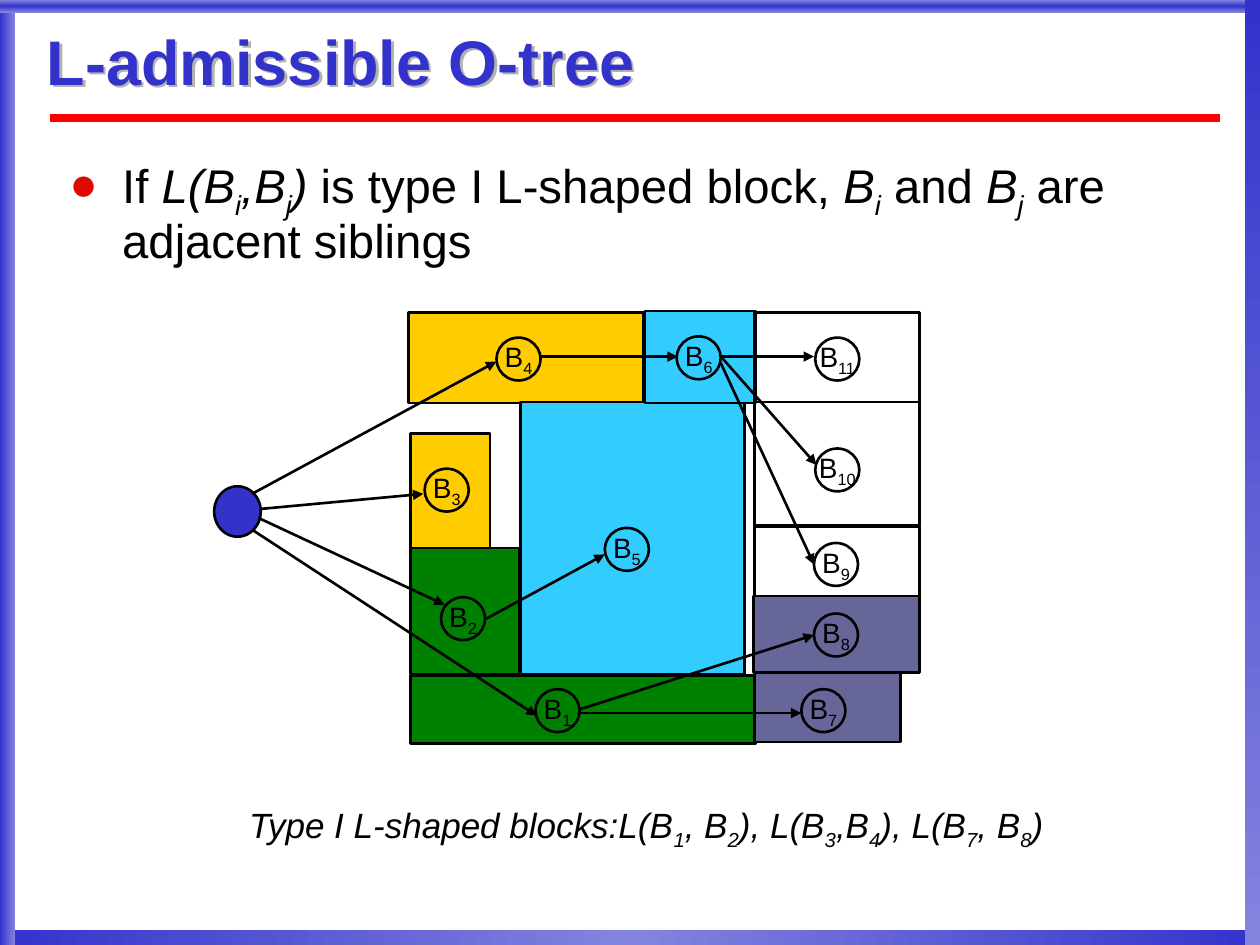
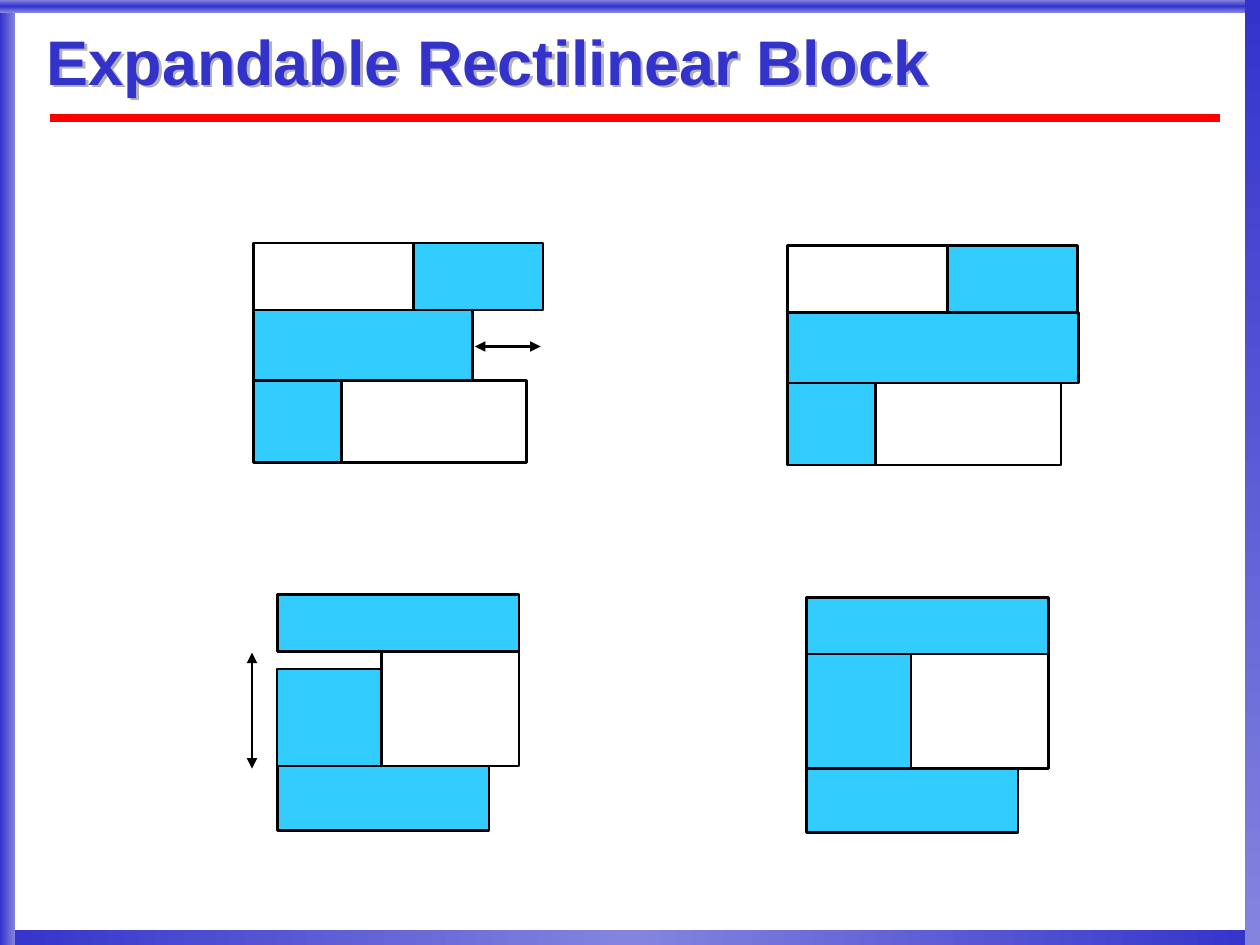
from dataclasses import dataclass
from lxml import etree
from pptx import Presentation
from pptx.dml.color import RGBColor
from pptx.enum.shapes import MSO_CONNECTOR, MSO_SHAPE
from pptx.enum.text import MSO_ANCHOR, MSO_AUTO_SIZE, PP_ALIGN
from pptx.oxml.ns import qn
from pptx.util import Inches, Pt

RECT, OVAL = MSO_SHAPE.RECTANGLE, MSO_SHAPE.OVAL
LINE = MSO_CONNECTOR.STRAIGHT
MIDDLE, TOP = MSO_ANCHOR.MIDDLE, MSO_ANCHOR.TOP
LEFT, CENTER = PP_ALIGN.LEFT, PP_ALIGN.CENTER
FIXED = MSO_AUTO_SIZE.NONE


@dataclass(frozen=True)
class Theme:
    font: str = "Arial"
    blue: str = "3333CC"
    pale: str = "8484DF"
    red: str = "FF0000"
    dot: str = "DC0A00"
    shade: str = "B2B2B2"
    ink: str = "000000"
    gold: str = "FFCC00"
    green: str = "008000"
    sky: str = "33CCFF"
    slate: str = "666699"
    title: int = 36
    body: int = 27
    note: int = 20
    label: int = 16
    edge: float = 1.5
    rule: float = 4.5


T = Theme()

BANDS = [
    ((0, 7.38, 10, 0.13), (T.blue, T.pale, T.blue), 180),
    ((0, 0, 0.12, 7.5), (T.pale, T.blue), 180),
    ((0, 0, 10, 0.1), (T.pale, T.blue, T.pale), 90),
    ((9.88, 0, 0.12, 7.5), (T.blue, T.pale), 90),
]

BLOCKS = [
    ((4.29, 1.71, 1.31, 0.56), None),
    ((4.28, 2.26, 1.32, 0.61), T.slate),
    ((1.54, 0.01, 1.87, 0.72), T.gold),
    ((1.56, 0.97, 0.63, 0.92), T.gold),
    ((1.56, 1.88, 0.86, 1), T.green),
    ((1.56, 2.89, 2.74, 0.54), T.green),
    ((2.43, 0.72, 1.78, 2.16), T.sky),
    ((3.42, 0, 0.88, 0.73), T.sky),
    ((4.29, 0.72, 1.31, 0.98), None),
    ((4.29, 0.01, 1.31, 0.71), None),
    ((4.29, 2.87, 1.16, 0.55), T.slate),
]

NODES = [
    (2.55, 3), (1.8, 2.27), (1.67, 1.25), (2.24, 0.21), (3.1, 1.72),
    (3.67, 0.2), (4.66, 3), (4.76, 2.4), (4.76, 1.84), (4.77, 1.09),
    (4.77, 0.21),
]

ARROWS = [
    ((0.3, 1.45), (2.24, 0.4)),
    ((0.36, 1.57), (1.66, 1.45)),
    ((0.35, 1.64), (1.83, 2.33)),
    ((0.31, 1.74), (2.56, 3.21)),
    ((2.58, 0.36), (3.68, 0.36)),
    ((2.16, 2.44), (3.1, 1.93)),
    ((2.9, 3.16), (4.76, 2.57)),
    ((2.9, 3.19), (4.66, 3.19)),
    ((4.03, 0.36), (4.76, 0.36)),
    ((4.03, 0.37), (4.78, 1.22)),
    ((4.02, 0.41), (4.76, 2.01)),
]


def color(code):
    return RGBColor.from_string(code)


def child(node, tag, **attrs):
    return etree.SubElement(node, qn(tag), attrs)


def place(shape, box):
    shape.left, shape.top, shape.width, shape.height = map(Inches, box)


def shift(box, x, y):
    return (box[0] + x, box[1] + y, *box[2:])


def add_form(slide, kind, box, fill=None):
    form = slide.shapes.add_shape(kind, *map(Inches, box))
    form.shadow.inherit = False
    if fill:
        form.fill.solid()
        form.fill.fore_color.rgb = color(fill)
    else:
        form.fill.background()
    form.line.color.rgb = color(T.ink)
    form.line.width = Pt(T.edge)
    return form


def add_line(slide, start, end, ink=T.ink, width=T.edge, heads=()):
    line = slide.shapes.add_connector(LINE, *map(Inches, (*start, *end)))
    line.line.color.rgb = color(ink)
    line.line.width = Pt(width)
    props = line._element.spPr
    for head in heads:
        child(props.find(qn("a:ln")), head, type="triangle")
    child(props, "a:effectLst")


def add_band(slide, box, stops, angle):
    band = add_form(slide, RECT, box)
    band.line.fill.background()
    band.fill.gradient()
    band.fill.gradient_angle = 360 - angle
    ramp = band._element.spPr.find(qn("a:gradFill")).find(qn("a:gsLst"))
    for old in list(ramp):
        ramp.remove(old)
    for i, code in enumerate(stops):
        stop = child(ramp, "a:gs", pos=str(100000 * i // (len(stops) - 1)))
        child(stop, "a:srgbClr", val=code)


def set_frame(frame, pad, anchor, wrap=True):
    frame.word_wrap = wrap
    frame.auto_size = FIXED
    frame.vertical_anchor = anchor
    frame.margin_left = frame.margin_right = Inches(pad)
    frame.margin_top = frame.margin_bottom = Inches(pad / 2)


def write(para, text, size, ink=T.ink, align=LEFT, bold=False):
    para.alignment = align
    font = para.font
    font.name, font.size, font.bold = T.font, Pt(size), bold
    font.color.rgb = color(ink)
    for i, part in enumerate(text.split("*")):
        for j, bit in enumerate(part.split("_")):
            if bit:
                run = para.add_run()
                run.text = bit
                if i % 2:
                    run.font.italic = True
                if j % 2:
                    run._r.get_or_add_rPr().set("baseline", "-25000")


def add_page(deck, layout, text):
    slide = deck.slides.add_slide(deck.slide_layouts[layout])
    for band in BANDS:
        add_band(slide, *band)
    add_line(slide, (0.4, 0.94), (9.68, 0.94), T.red, T.rule)
    title = slide.shapes.title
    place(title, (0.37, 0.15, 9.3, 0.74))
    set_frame(title.text_frame, 0, MIDDLE)
    para = title.text_frame.paragraphs[0]
    para.line_spacing = 0.87
    write(para, text, T.title, T.blue, bold=True)
    glow = child(child(title._element.spPr, "a:effectLst"), "a:outerShdw",
                 dist=str(Inches(0.03)), dir="2700000", algn="ctr")
    child(glow, "a:srgbClr", val=T.shade)
    return slide


def add_list(slide, box, text):
    body = slide.placeholders[1]
    place(body, box)
    set_frame(body.text_frame, 0.1, TOP)
    para = body.text_frame.paragraphs[0]
    para.line_spacing = 0.93
    para.space_before = Pt(16.9)
    write(para, text, T.body)
    props = para._p.get_or_add_pPr()
    props.set("marL", str(Inches(0.42)))
    props.set("indent", str(-Inches(0.42)))
    mark = etree.Element(qn("a:buClr"))
    child(mark, "a:srgbClr", val=T.dot)
    face = etree.Element(qn("a:buFont"), typeface=T.font)
    sign = etree.Element(qn("a:buChar"), char="●")
    for part in (sign, face, mark):
        props.find(qn("a:spcBef")).addnext(part)


def add_note(slide, box, text):
    note = slide.shapes.add_textbox(*map(Inches, box)).text_frame
    set_frame(note, 0.1, TOP)
    write(note.paragraphs[0], text, T.note)


def add_tree(slide, x, y):
    for box, fill in BLOCKS:
        add_form(slide, RECT, shift(box, x, y), fill)
    add_form(slide, OVAL, shift((0, 1.39, 0.37, 0.4), x, y), T.blue)
    for i, spot in enumerate(NODES, 1):
        node = add_form(slide, OVAL, shift((*spot, 0.35, 0.34), x, y))
        set_frame(node.text_frame, 0, MIDDLE, wrap=False)
        write(node.text_frame.paragraphs[0], f"B_{i}_", T.label, align=CENTER)
    for start, end in ARROWS:
        add_line(slide, shift(start, x, y), shift(end, x, y),
                 heads=["a:tailEnd"])


def add_stack(slide, x, y, rows):
    for high, cells in rows:
        left = x
        for wide, fill, *gap in cells:
            drop = sum(gap)
            add_form(slide, RECT, (left, y + drop, wide, high - drop), fill)
            left += wide
        y += high


def wide_rows(wide):
    return [
        (0.53, [(1.27, None), (1.03, T.sky)]),
        (0.56, [(wide, T.sky)]),
        (0.65, [(0.7, T.sky), (1.47, None)]),
    ]


def tall_rows(gap):
    return [
        (0.45, [(1.92, T.sky)]),
        (0.91, [(0.83, T.sky, gap), (1.09, None)]),
        (0.51, [(1.68, T.sky)]),
    ]


def tree_slide(deck):
    slide = add_page(deck, 1, "L-admissible O-tree")
    add_list(slide, (0.45, 1.19, 9.08, 1.1),
             "If *L(B_i_,B_j_)* is type I L-shaped block, "
             "*B_i_* and *B_j_* are adjacent siblings")
    add_tree(slide, 1.7, 2.47)
    add_note(slide, (1.88, 6.33, 7, 0.5),
             "*Type I L-shaped blocks:L(B_1_, B_2_), "
             "L(B_3_,B_4_), L(B_7_, B_8_)*")


def block_slide(deck):
    slide = add_page(deck, 5, "Expandable Rectilinear Block")
    both = ["a:headEnd", "a:tailEnd"]
    add_stack(slide, 6.4, 4.74, tall_rows(0))
    add_stack(slide, 2.2, 4.72, tall_rows(0.14))
    add_line(slide, (2, 6.1), (2, 5.18), heads=both)
    add_stack(slide, 6.25, 1.95, wide_rows(2.31))
    add_stack(slide, 2.01, 1.93, wide_rows(1.74))
    add_line(slide, (3.77, 2.75), (4.29, 2.75), heads=both)


def main():
    deck = Presentation()
    deck.slide_width, deck.slide_height = Inches(10), Inches(7.5)
    tree_slide(deck)
    block_slide(deck)
    deck.save("out.pptx")


if __name__ == "__main__":
    main()
